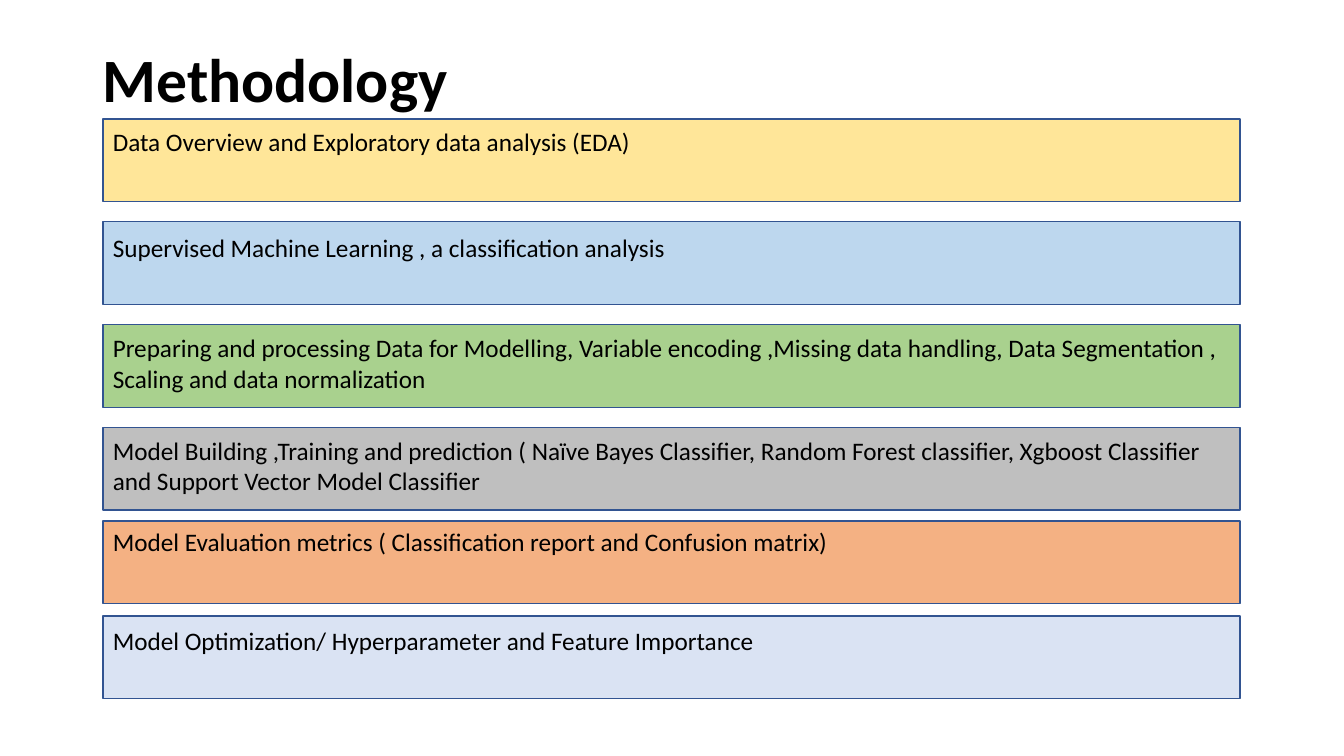
import dataclasses

import pptx
import pptx.dml.color
import pptx.enum.shapes
import pptx.enum.text
import pptx.shapes.group
import pptx.slide
import pptx.text.text
import pptx.util

Inches = pptx.util.Inches


@dataclasses.dataclass(frozen=True)
class Theme:
    font: str = "Calibri"
    text: str = "000000"
    outline: str = "325491"
    title_size: int = 44
    body_size: int = 18
    line_width: int = 1


@dataclasses.dataclass(frozen=True)
class Step:
    text: str
    fill: str
    top: float
    text_top: float
    text_height: float = 0.4


THEME = Theme()
LEFT, WIDTH, BAR_HEIGHT = 1.02, 11.28, 0.82
STEPS = [
    Step("Data Overview and Exploratory data analysis (EDA)", "FFE699", 1.18, 1.2),
    Step("Supervised Machine Learning , a classification analysis", "BDD7EE", 2.2, 2.26),
    Step(
        "Preparing and processing Data for Modelling, Variable encoding ,"
        "Missing data handling, Data Segmentation , Scaling and data normalization",
        "A9D18E", 3.22, 3.25, 0.71,
    ),
    Step(
        "Model Building ,Training and prediction ( Naïve Bayes Classifier, "
        "Random Forest classifier, Xgboost Classifier and Support Vector Model Classifier",
        "BFBFBF", 4.24, 4.27, 0.71,
    ),
    Step("Model Evaluation metrics ( Classification report and Confusion matrix)", "F4B183", 5.17, 5.17),
    Step("Model Optimization/ Hyperparameter and Feature Importance", "DAE3F3", 6.11, 6.15),
]


def rgb(value: str) -> pptx.dml.color.RGBColor:
    return pptx.dml.color.RGBColor.from_string(value)


def set_attrs(target: object, values: dict[str, object]) -> None:
    for name, value in values.items():
        setattr(target, name, value)


def write_text(tf: pptx.text.text.TextFrame, text: str, size: int, bold: bool = False) -> None:
    r = tf.paragraphs[0].add_run()
    r.text = text
    set_attrs(r.font, {"name": THEME.font, "size": pptx.util.Pt(size), "bold": bold})
    r.font.color.rgb = rgb(THEME.text)


def add_title(slide: pptx.slide.Slide, text: str) -> None:
    sp = slide.shapes.title
    set_attrs(sp, {"left": Inches(0.92), "top": Inches(0.38), "width": Inches(11.5), "height": Inches(0.88)})
    tf = sp.text_frame
    set_attrs(tf, {
        "word_wrap": True,
        "auto_size": pptx.enum.text.MSO_AUTO_SIZE.NONE,
        "vertical_anchor": pptx.enum.text.MSO_ANCHOR.MIDDLE,
    })
    set_attrs(tf.paragraphs[0], {"alignment": pptx.enum.text.PP_ALIGN.LEFT, "line_spacing": 0.9})
    write_text(tf, text, THEME.title_size, True)


def add_bar(group: pptx.shapes.group.GroupShape, step: Step) -> None:
    sp = group.shapes.add_shape(
        pptx.enum.shapes.MSO_SHAPE.RECTANGLE,
        Inches(LEFT), Inches(step.top), Inches(WIDTH), Inches(BAR_HEIGHT),
    )
    sp.shadow.inherit = False
    sp.fill.solid()
    sp.fill.fore_color.rgb = rgb(step.fill)
    sp.line.color.rgb = rgb(THEME.outline)
    sp.line.width = pptx.util.Pt(THEME.line_width)


def add_label(slide: pptx.slide.Slide, step: Step) -> None:
    sp = slide.shapes.add_textbox(
        Inches(LEFT), Inches(step.text_top), Inches(WIDTH), Inches(step.text_height)
    )
    tf = sp.text_frame
    set_attrs(tf, {"word_wrap": True, "auto_size": pptx.enum.text.MSO_AUTO_SIZE.SHAPE_TO_FIT_TEXT})
    write_text(tf, step.text, THEME.body_size)


def main() -> None:
    prs = pptx.Presentation()
    set_attrs(prs, {"slide_width": Inches(13.33), "slide_height": Inches(7.5)})
    slide = prs.slides.add_slide(prs.slide_layouts.get_by_name("Title Only"))
    add_title(slide, "Methodology")
    bars = slide.shapes.add_group_shape()
    for step in STEPS:
        add_bar(bars, step)
        add_label(slide, step)
    prs.save("out.pptx")


if __name__ == "__main__":
    main()
